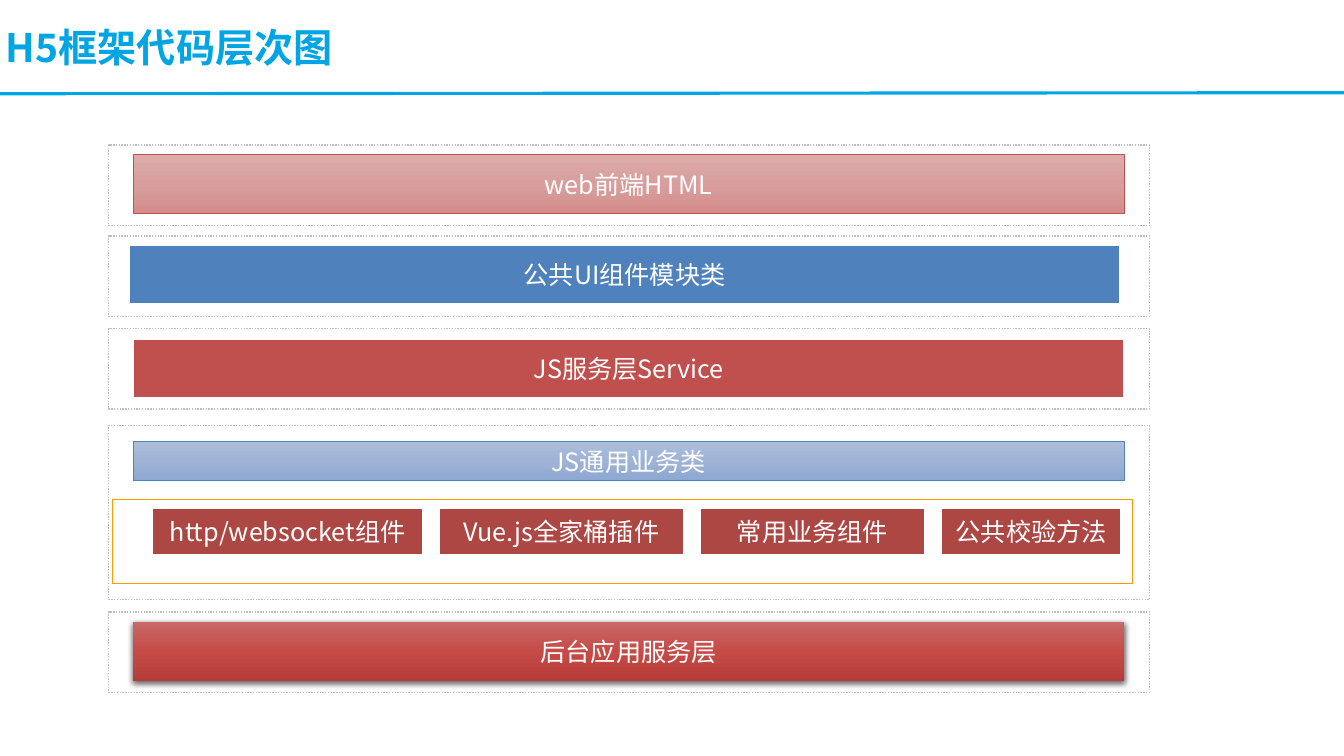
from copy import deepcopy

from pptx import Presentation
from pptx.dml.color import RGBColor
from pptx.enum.dml import MSO_LINE as Dash
from pptx.enum.shapes import MSO_CONNECTOR as Conn, MSO_SHAPE as Geo
from pptx.enum.text import MSO_ANCHOR as Anchor, PP_ALIGN as Align
from pptx.oxml.ns import qn
from pptx.oxml.xmlchemy import OxmlElement as Elem
from pptx.util import Inches, Pt

FONT = "Noto Sans CJK SC"
WHITE = RGBColor(0xFF, 0xFF, 0xFF)
CYAN = RGBColor(0x01, 0xA5, 0xE4)
GREY = RGBColor(0xBF, 0xBF, 0xBF)
BLUE = RGBColor(0x4F, 0x81, 0xBD)
RED = RGBColor(0xC0, 0x50, 0x4D)
BRICK = RGBColor(0xAC, 0x47, 0x44)
ORANGE = RGBColor(0xFF, 0x99, 0x00)
# Gradients, top to bottom
ROSE = [RGBColor(0xDD, 0xAC, 0xAB), RGBColor(0xD7, 0x9E, 0x9D),
        RGBColor(0xD4, 0x8D, 0x8B)]
SKY = [RGBColor(0xAB, 0xBE, 0xDB), RGBColor(0x9E, 0xB3, 0xD5),
       RGBColor(0x8C, 0xA7, 0xD2)]
CRIMSON = [RGBColor(0xC7, 0x69, 0x67), RGBColor(0xC6, 0x4B, 0x47),
           RGBColor(0xB6, 0x3C, 0x39)]


def add_run(para, text, size, color, bold=False):
    run = para.add_run()
    run.text = text
    font = run.font
    font.name, font.size, font.bold = FONT, Pt(size), bold
    font.color.rgb = color
    east = Elem("a:ea")
    east.set("typeface", FONT)
    font._element.find(qn("a:latin")).addnext(east)


def add_rule(slide):
    rule = slide.shapes.add_connector(
        Conn.STRAIGHT, Inches(-0.04), Inches(0.93), Inches(13.36), Inches(0.92))
    rule.line.color.rgb = CYAN
    rule.line.width = Pt(2.25)
    rule._element.spPr.append(Elem("a:effectLst"))


def add_title(slide, text):
    box = slide.shapes.add_textbox(
        Inches(0.06), 0, Inches(12.2), Inches(0.93))
    frame = box.text_frame
    frame.word_wrap = True
    frame.vertical_anchor = Anchor.MIDDLE
    frame.margin_left = frame.margin_right = 0
    frame.margin_top = frame.margin_bottom = 0
    add_run(frame.paragraphs[0], text, 28, CYAN, True)


def add_box(slide, left, top, width, height, fill, line=None, weight=1.5):
    box = slide.shapes.add_shape(
        Geo.RECTANGLE, Inches(left), Inches(top), Inches(width), Inches(height))
    box.shadow.inherit = False
    if isinstance(fill, list):
        shade(box, fill)
    else:
        box.fill.solid()
        box.fill.fore_color.rgb = fill
    if line is None:
        box.line.fill.background()
    else:
        box.line.color.rgb = line
        box.line.width = Pt(weight)
    return box


def shade(box, colors):
    box.fill.gradient()
    box.fill.gradient_angle = 270
    first = box._element.spPr.find(".//" + qn("a:gs"))
    first.addnext(deepcopy(first))
    for i, (stop, color) in enumerate(zip(box.fill.gradient_stops, colors)):
        stop.position = i / 2
        stop.color.rgb = color


def add_label(box, text):
    frame = box.text_frame
    frame.word_wrap = False
    frame.vertical_anchor = Anchor.MIDDLE
    para = frame.paragraphs[0]
    para.alignment = Align.CENTER
    add_run(para, text, 18, WHITE)


def add_shadow(box):
    cast = Elem("a:outerShdw")
    for key, val in (("blurRad", Pt(4.5)), ("dist", Pt(1.5)),
                     ("dir", 90 * 60000), ("rotWithShape", 0)):
        cast.set(key, str(int(val)))
    color, alpha = Elem("a:srgbClr"), Elem("a:alpha")
    color.set("val", "000000")
    alpha.set("val", "63000")
    color.append(alpha)
    cast.append(color)
    box._element.spPr.find(qn("a:effectLst")).append(cast)


def add_frame(slide, top, height):
    frame = add_box(slide, 1.08, top, 10.33, height, WHITE, GREY, 1)
    frame.line.dash_style = Dash.ROUND_DOT


def add_layer(slide, text, top, height, bar, fill, line=None, weight=1.5):
    """Dotted frame holding one bar; bar is its left, top and height."""
    add_frame(slide, top, height)
    left, y, tall = bar
    box = add_box(slide, left, y, 9.84, tall, fill, line, weight)
    add_label(box, text)
    return box


def add_parts(slide, parts):
    add_box(slide, 1.12, 4.96, 10.12, 0.83, WHITE, ORANGE, 0.75)
    left, gap = 1.51, 0.16
    for text, width in parts:
        add_label(add_box(slide, left, 5.04, width, 0.47, BRICK, WHITE), text)
        left += width + gap


def main():
    deck = Presentation()
    deck.slide_width, deck.slide_height = Inches(13.34), Inches(7.5)
    slide = deck.slides.add_slide(deck.slide_layouts[6])

    # Heading
    add_rule(slide)
    add_title(slide, "H5框架代码层次图")

    # Layers, front end to back end
    add_layer(slide, "web前端HTML", 1.44, 0.8, (1.32, 1.53, 0.59),
              ROSE, RED, 0.5)
    add_layer(slide, "公共UI组件模块类", 2.34, 0.8, (1.28, 2.43, 0.59),
              BLUE, WHITE)
    add_layer(slide, "JS服务层Service", 3.26, 0.8, (1.32, 3.36, 0.59),
              RED, WHITE)
    add_layer(slide, "JS通用业务类", 4.22, 1.73, (1.32, 4.38, 0.39),
              SKY, BLUE, 0.5)
    add_parts(slide, [("http/websocket组件", 2.69), ("Vue.js全家桶插件", 2.43),
                      ("常用业务组件", 2.23), ("公共校验方法", 1.79)])
    base = add_layer(slide, "后台应用服务层", 6.07, 0.8, (1.32, 6.17, 0.59),
                     CRIMSON)
    add_shadow(base)

    deck.save("out.pptx")


main()
